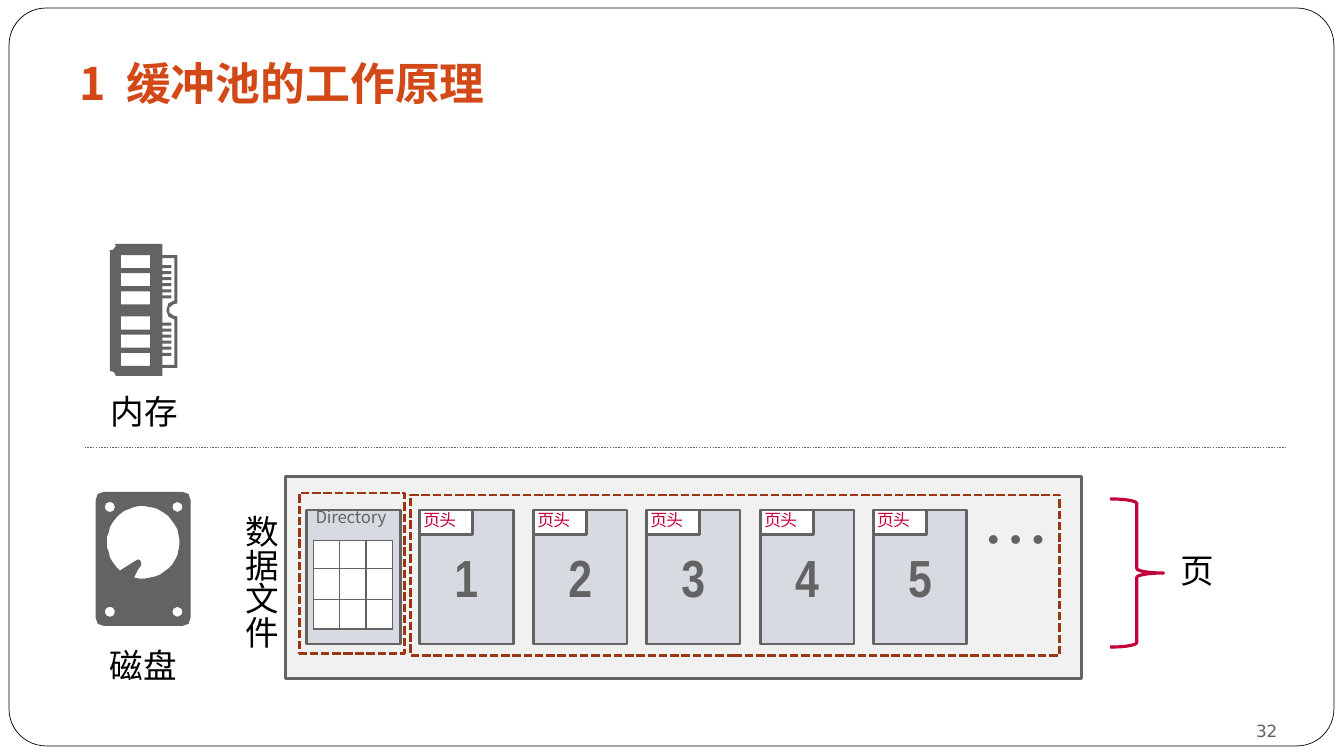
import dataclasses
import math

import lxml.etree
import pptx
import pptx.dml.color
import pptx.enum.dml
import pptx.enum.shapes
import pptx.enum.text
import pptx.oxml.ns
import pptx.util

PX = 9144
SHAPE = pptx.enum.shapes.MSO_SHAPE
DASH = pptx.enum.dml.MSO_LINE
ALIGN = pptx.enum.text.PP_ALIGN
ANCHOR = pptx.enum.text.MSO_ANCHOR
qn = pptx.oxml.ns.qn


@dataclasses.dataclass(frozen=True)
class Theme:
    """Colours, fonts and type sizes of the slide."""
    ink: str = "000000"
    paper: str = "FFFFFF"
    accent: str = "D34817"
    dashes: str = "9C3511"
    crimson: str = "C30037"
    grey: str = "636363"
    number_grey: str = "646060"
    file_fill: str = "F1F1F1"
    page_fill: str = "D7DBE1"
    cjk: str = "Noto Sans CJK SC"
    digits: str = "Arial Narrow"
    plain: str = "DejaVu Sans"
    title: float = 32
    label: float = 24
    small: float = 12
    page_number: float = 37.3
    dots: float = 48
    cell: int = 8


class Deck:
    """Draws styled elements on the current slide, in px."""

    def __init__(self, theme, width, height):
        self.theme = theme
        self.show = pptx.Presentation()
        self.show.slide_width, self.show.slide_height = width * PX, height * PX
        self.slide = self.show.slides.add_slide(self.show.slide_layouts[5])

    def color(self, value):
        return pptx.dml.color.RGBColor.from_string(value)

    def paint(self, shape, fill=None, line=None, weight=2, dash=None):
        shape.shadow.inherit = False
        if fill:
            shape.fill.solid()
            shape.fill.fore_color.rgb = self.color(fill)
        else:
            shape.fill.background()
        if line:
            self.stroke(shape.line, line, weight, dash)
        else:
            shape.line.fill.background()
        return shape

    def stroke(self, line, color, weight, dash):
        line.color.rgb = self.color(color)
        line.width = pptx.util.Pt(weight)
        if dash:
            line.dash_style = dash

    def box(self, kind, area, **style):
        return self.paint(self.slide.shapes.add_shape(kind, *[v * PX for v in area]), **style)

    def fill_text(self, shape, runs, size, color, font=None, align=ALIGN.LEFT, anchor=ANCHOR.TOP,
                  insets=(0, 0, 0, 0), wrap=True, bold=False):
        frame = shape.text_frame
        frame.auto_size = pptx.enum.text.MSO_AUTO_SIZE.NONE
        frame.word_wrap = wrap
        frame.vertical_anchor = anchor
        frame.margin_left, frame.margin_top, frame.margin_right, frame.margin_bottom = [
            v * PX for v in insets]
        paragraph = frame.paragraphs[0]
        paragraph.alignment = align
        for text, spacing in runs:
            run = paragraph.add_run()
            run.text = text
            run.font.size = pptx.util.Pt(size)
            run.font.bold = bold
            run.font.color.rgb = self.color(color)
            run.font.name = font or self.theme.cjk
            properties = run.font._element
            lxml.etree.SubElement(properties, qn("a:ea"), typeface=run.font.name)
            if spacing:
                properties.set("spc", str(round(spacing * 100)))
        return shape

    def text(self, area, runs, size, color, **style):
        holder = self.slide.shapes.add_textbox(*[v * PX for v in area])
        return self.fill_text(holder, runs, size, color, **style)

    def label(self, area, words):
        return self.text(area, [(words, 0)], self.theme.label, self.theme.ink,
                         insets=(10, 5, 10, 5), wrap=False)

    def title(self, area, runs):
        heading = self.slide.shapes.title
        heading.left, heading.top, heading.width, heading.height = [v * PX for v in area]
        return self.fill_text(heading, runs, self.theme.title, self.theme.accent,
                              anchor=ANCHOR.BOTTOM, insets=(12, 6, 12, 12), bold=True)

    def outline(self, contours, fill):
        builder = self.slide.shapes.build_freeform(*contours[0][0], scale=PX)
        for index, contour in enumerate(contours):
            if index:
                builder.move_to(*contour[0])
            builder.add_line_segments(contour[1:], close=True)
        return self.paint(builder.convert_to_shape(), fill=fill)

    def divider(self, x1, x2, y, color):
        rule = self.slide.shapes.add_connector(
            pptx.enum.shapes.MSO_CONNECTOR.STRAIGHT, x1 * PX, y * PX, x2 * PX, y * PX)
        self.stroke(rule.line, color, 1, DASH.ROUND_DOT)
        lxml.etree.SubElement(rule._element.spPr, qn("a:effectLst"))

    def grid(self, left, top, columns, rows):
        area = [v * PX for v in (left, top, sum(columns), sum(rows))]
        table = self.slide.shapes.add_table(len(rows), len(columns), *area).table
        table.first_row = table.horz_banding = False
        for column, width in zip(table.columns, columns):
            column.width = width * PX
        for row, height in zip(table.rows, rows):
            row.height = height * PX
        for cell in table.iter_cells():
            cell.margin_left = cell.margin_right = cell.margin_top = cell.margin_bottom = 0
            lxml.etree.SubElement(cell.text_frame.paragraphs[0]._p, qn("a:endParaRPr"),
                                  sz=str(self.theme.cell * 100))
            properties = cell._tc.get_or_add_tcPr()
            for side in ("a:lnL", "a:lnR", "a:lnT", "a:lnB"):
                border = lxml.etree.SubElement(properties, qn(side), w="12700")
                solid = lxml.etree.SubElement(border, qn("a:solidFill"))
                lxml.etree.SubElement(solid, qn("a:srgbClr"), val=self.theme.grey)
            cell.fill.solid()
            cell.fill.fore_color.rgb = self.color(self.theme.paper)


def arc(x, y, radius, start, sweep, steps):
    """Return points along an arc, angles in degrees."""
    angles = [math.radians(start + sweep * i / steps) for i in range(steps + 1)]
    return [(x + radius * math.cos(a), y + radius * math.sin(a)) for a in angles]


def bar(left, top, right, bottom):
    """Return the corners of a rectangle."""
    return [(left, top), (right, top), (right, bottom), (left, bottom)]


def disk_contours():
    """Return the disk case with its platter and screw holes."""
    case = [point for x, y, start in ((181, 496, 270), (181, 613, 0), (103, 613, 90), (103, 496, 180))
            for point in arc(x, y, 8, start, 90, 4)]
    arm = [(137, 565), (140, 561), (140, 558), (139, 556), (137, 555), (135, 556)]
    platter = arc(142, 538, 36, 130, 334, 40) + arm
    screws = [arc(x, y, 5, 0, 330, 11) for x in (109, 176) for y in (503, 607)]
    return [case, platter, *screws]


def memory_contours():
    """Return the memory module with its chips, pins and card edge."""
    body = [(114, 242), (161, 242), (161, 373), (115, 373), (113, 369), (109, 368),
            (109, 248), (112, 248), (115, 244)]
    chips = [bar(120, top + 18 * i, 149, top + 18 * i + 13) for top in (253, 314) for i in range(3)]
    pins = [bar(161, top + 6 * i, 170, top + 6 * i + 3) for top in (263, 320) for i in range(6)]
    edge = [(161, 253), (176, 253), (176, 301), (172, 302), (168, 305), (168, 310), (172, 313),
            (176, 314), (176, 365), (161, 365), (161, 362), (173, 362), (173, 317), (167, 314),
            (165, 308), (167, 301), (173, 298), (173, 256), (161, 256)]
    return [body, *chips, *pins, edge]


def main():
    """Build the buffer pool slide."""
    theme = Theme()
    deck = Deck(theme, 1333, 750)
    heading = deck.title((67, 36, 1200, 85), [("1", 0), (" ", 7), ("缓冲池的工作原理", 0)])
    border = deck.box(SHAPE.ROUNDED_RECTANGLE, (9, 8, 1314, 732), fill=theme.paper,
                      line=theme.ink, weight=0.5)
    border.adjustments[0] = 0.05
    heading.element.addprevious(border.element)
    deck.text((1156, 695, 111, 40), [("32", 0)], theme.small, theme.number_grey,
              font=theme.plain, align=ALIGN.RIGHT, anchor=ANCHOR.BOTTOM)

    deck.outline(memory_contours(), theme.grey)
    deck.label((100, 383, 88, 50), "内存")
    deck.divider(84, 1277, 444, theme.grey)
    deck.outline(disk_contours(), theme.grey)
    deck.label((99, 635, 88, 50), "磁盘")

    deck.box(SHAPE.RECTANGLE, (283, 473, 790, 200), fill=theme.file_fill, line=theme.grey)
    file_label = deck.label((223, 501, 61, 145), "数据文件")
    file_label.text_frame._txBody.bodyPr.set("vert", "eaVert")

    deck.box(SHAPE.RECTANGLE, (304, 506, 93, 133), fill=theme.page_fill, line=theme.grey)
    deck.text((311, 503, 78, 24), [("Directory", -0.1)], theme.small, theme.grey,
              insets=(2, 0, 0, 0))
    deck.grid(311, 536, (26, 26, 26), (28, 31, 29))

    for index in range(5):
        left = 416 + (225 * index + 1) // 2
        deck.box(SHAPE.RECTANGLE, (left, 506, 93, 133), fill=theme.page_fill, line=theme.grey)
        number = deck.box(SHAPE.RECTANGLE, (left + 7, 532, 79, 68), fill=theme.page_fill)
        deck.fill_text(number, [(str(index + 1), 1.6)], theme.page_number, theme.grey,
                       font=theme.digits, align=ALIGN.CENTER, insets=(0, 9, 0, 0), bold=True)
        header = deck.box(SHAPE.RECTANGLE, (left, 506, 53, 24), fill=theme.paper, line=theme.grey)
        deck.fill_text(header, [("页头", -0.5)], theme.small, theme.crimson, insets=(4, 0, 0, 0))
    deck.text((972, 494, 37, 97), [("…", -24)], theme.dots, theme.grey, insets=(2, 0, 0, 0))

    for area in ((407, 491, 644, 159), (297, 489, 104, 159)):
        deck.box(SHAPE.RECTANGLE, area, line=theme.dashes, dash=DASH.SQUARE_DOT)
    deck.box(SHAPE.RIGHT_BRACE, (1101, 495, 53, 147), line=theme.crimson, weight=2.25)
    deck.label((1161, 541, 54, 50), "页")
    deck.show.save("out.pptx")


if __name__ == "__main__":
    main()
